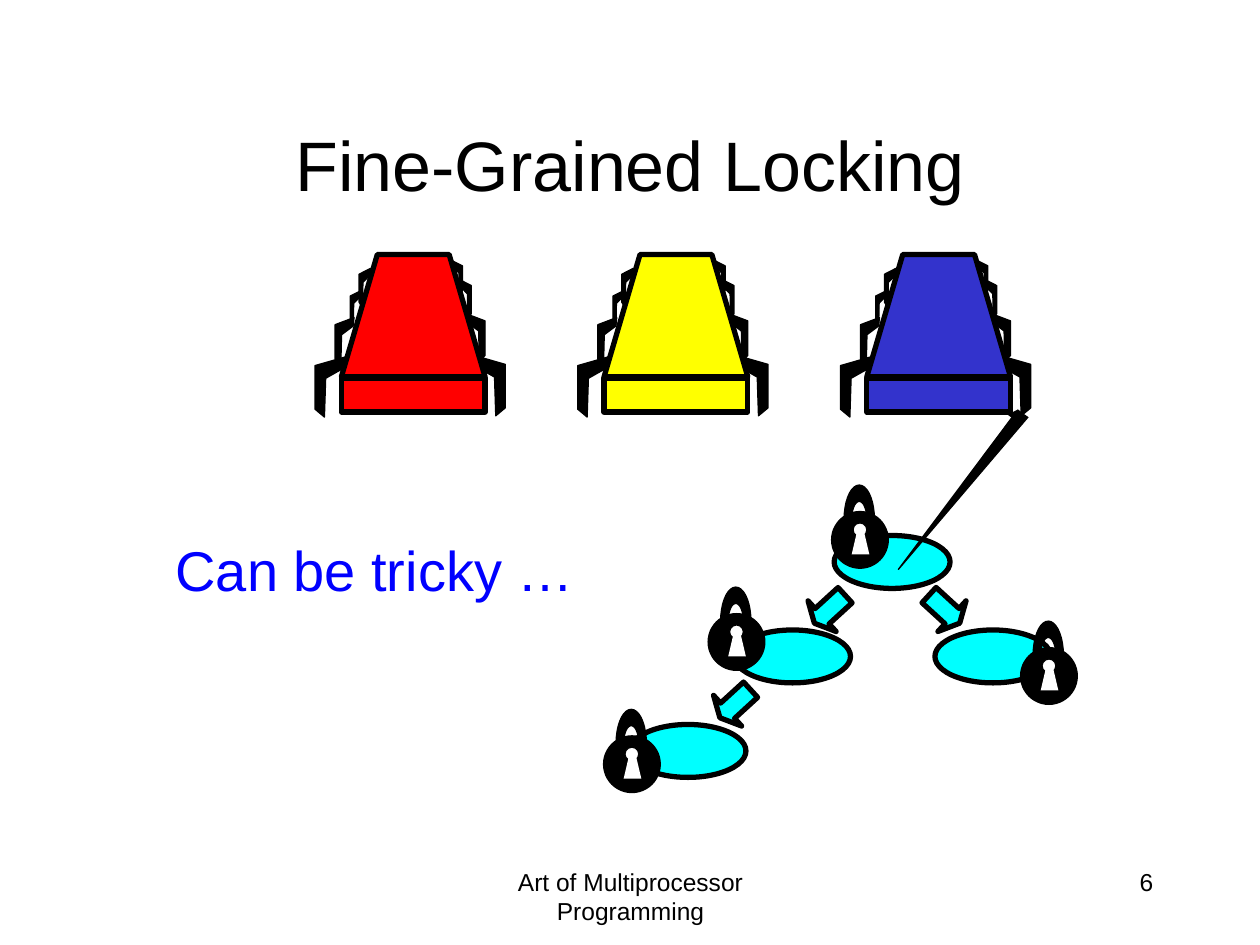
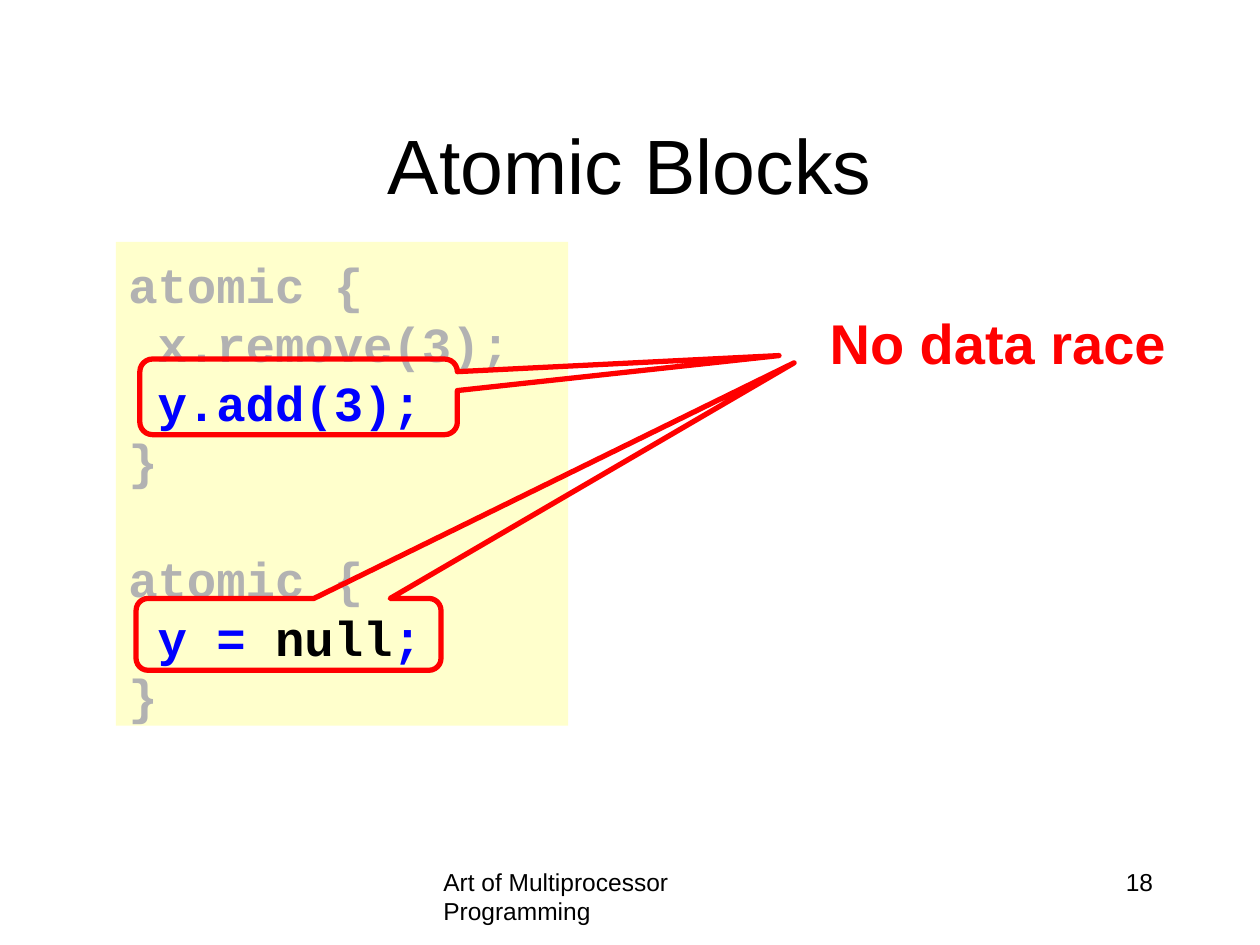
import math

from lxml import etree
from pptx import Presentation
from pptx import util as u
from pptx.dml.color import RGBColor
from pptx.enum import shapes, text
from pptx.oxml.ns import qn

BLACK = RGBColor(0x00, 0x00, 0x00)
WHITE = RGBColor(0xFF, 0xFF, 0xFF)
RED = RGBColor(0xFF, 0x00, 0x00)
YELLOW = RGBColor(0xFF, 0xFF, 0x00)
INDIGO = RGBColor(0x33, 0x33, 0xCC)
CYAN = RGBColor(0x00, 0xFF, 0xFF)
BLUE = RGBColor(0x00, 0x00, 0xFF)
GRAY = RGBColor(0xB2, 0xB2, 0xB2)
CREAM = RGBColor(0xFF, 0xFF, 0xCC)

SHAPE = shapes.MSO_SHAPE
ALIGN = text.PP_ALIGN
BOLD_LINE, THIN_LINE = 3, 0.75

# Outline of one leg in a unit box, pointing right
LEG = [(0, 0), (1, 0.15), (1, 0.87), (0.7, 1), (0.66, 0.36), (0.05, 0.18)]
# Left, top, width and height of each leg, from the creature's top left
RIGHT_LEGS = [(1.05, 0.8, 0.25, 0.48), (0.99, 0.47, 0.15, 0.38),
              (0.94, 0.2, 0.09, 0.31), (0.88, 0.05, 0.08, 0.27)]
LEFT_LEGS = [(-0.21, 0.81, 0.25, 0.48), (-0.05, 0.5, 0.15, 0.38),
             (0.14, 0.11, 0.09, 0.31), (0.07, 0.29, 0.08, 0.27)]


def inches(*lengths):
    return [u.Inches(length) for length in lengths]


def paint(shape, fill, line, width):
    shape.shadow.inherit = False
    if fill is None:
        shape.fill.background()
    else:
        shape.fill.solid()
        shape.fill.fore_color.rgb = fill
    if line is None:
        shape.line.fill.background()
    else:
        shape.line.color.rgb = line
        shape.line.width = u.Pt(width)
    return shape


def add_preset(slide, kind, box, fill, line=BLACK, width=BOLD_LINE):
    return paint(slide.shapes.add_shape(kind, *inches(*box)), fill, line, width)


def add_outline(slide, points, fill, line=BLACK, width=THIN_LINE, close=True):
    start, *rest = [tuple(inches(x, y)) for x, y in points]
    builder = slide.shapes.build_freeform(*start)
    builder.add_line_segments(rest, close=close)
    return paint(builder.convert_to_shape(), fill, line, width)


def add_text(slide, words, box, size, align=ALIGN.CENTER, color=BLACK,
             bold=False, wrap=True, anchor=text.MSO_ANCHOR.TOP):
    frame = slide.shapes.add_textbox(*inches(*box)).text_frame
    frame.word_wrap = wrap
    frame.vertical_anchor = anchor
    paragraph = frame.paragraphs[0]
    paragraph.text = words
    paragraph.alignment = align
    font = paragraph.font
    font.name, font.size, font.bold = "Arial", u.Pt(size), bold
    font.color.rgb = color


def start_slide(deck, title, title_size, number, footer_align):
    """Add a blank slide with its title, footer and slide number."""
    slide = deck.slides.add_slide(deck.slide_layouts[6])
    add_text(slide, title, (0.75, 0.67, 8.5, 1.25), title_size,
             anchor=text.MSO_ANCHOR.MIDDLE)
    add_text(slide, "Art of Multiprocessor Programming",
             (3.42, 6.83, 3.17, 0.5), 14, footer_align)
    add_text(slide, str(number), (7.17, 6.83, 2.08, 0.5), 14, ALIGN.RIGHT)
    return slide


def draw_thread(slide, left, top, color):
    """Draw one many-legged thread."""
    for legs, mirrored in ((RIGHT_LEGS, False), (LEFT_LEGS, True)):
        for x, y, width, height in legs:
            add_outline(slide, [(left + x + width * (1 - px if mirrored else px),
                                 top + y + height * py) for px, py in LEG], BLACK)
    back = [(0, 0.97), (0.285, 0), (0.855, 0), (1.14, 0.97)]
    add_outline(slide, [(left + x, top + y) for x, y in back],
                color, width=BOLD_LINE)
    add_preset(slide, SHAPE.RECTANGLE, (left, top + 0.98, 1.14, 0.27), color)


def draw_lock(slide, left, top):
    """Draw a padlock whose round body starts at left, top."""
    def arch(radius_x, radius_y, degrees):
        return [(left + 0.22 + radius_x * math.cos(math.radians(a)),
                 top + 0.06 - radius_y * math.sin(math.radians(a)))
                for a in degrees]

    add_preset(slide, SHAPE.OVAL, (left, top, 0.45, 0.45), BLACK, width=THIN_LINE)
    add_preset(slide, SHAPE.OVAL, (left + 0.17, top + 0.09, 0.11, 0.11),
               WHITE, width=THIN_LINE)
    keyhole = [(0.16, 0.34), (0.2, 0.17), (0.26, 0.17), (0.3, 0.34)]
    add_outline(slide, [(left + x, top + y) for x, y in keyhole], WHITE, None)
    add_outline(slide, arch(0.12, 0.27, range(0, 181, 10))
                + arch(0.06, 0.14, range(180, -1, -10)), BLACK)


def draw_tree(slide, left, top):
    """Draw the locked tree; left, top is the corner of its bounding box."""
    for x, y in ((2.42, 0.75), (1.62, 0), (0.83, 0.75), (0, 1.5)):
        add_preset(slide, SHAPE.OVAL, (left + x, top + y, 0.92, 0.42), CYAN)
    for x, y, angle in ((2.33, 0.42, 42.5), (1.42, 0.42, 137.5), (0.67, 1.17, 137.5)):
        branch = add_preset(slide, SHAPE.RIGHT_ARROW,
                            (left + x, top + y, 0.33, 0.33), CYAN)
        branch.adjustments[1] = 0.25
        branch.rotation = angle


def draw_pointer(slide):
    """Draw the wedge that reaches from the last thread into the root."""
    wedge = add_outline(slide, [(8.16, 3.31), (7.13, 4.52), (8.08, 3.25)],
                        BLACK, close=False)
    line = wedge.line._get_or_add_ln()
    etree.SubElement(line, qn("a:tailEnd"), type="triangle")


def draw_code(slide, left, top):
    """Draw the code panel; each line is a list of (words, color)."""
    lines = [
        [("atomic {", GRAY)],
        [(" x.remove(3);", GRAY)],
        [(" y.add(3);", BLUE)],
        [("}", GRAY)],
        [("atomic {", GRAY)],
        [(" y = ", BLUE), ("null", BLACK), (";", BLUE)],
        [("}", GRAY)],
    ]
    line_height = 33.6
    second_block = 4
    panel = add_preset(slide, SHAPE.RECTANGLE, (left, top, 3.59, 3.84), CREAM, None)
    frame = panel.text_frame
    frame.word_wrap = True
    frame.vertical_anchor = text.MSO_ANCHOR.TOP
    frame.margin_top = u.Inches(0.1)
    for index, parts in enumerate(lines):
        paragraph = frame.add_paragraph() if index else frame.paragraphs[0]
        paragraph.alignment = ALIGN.LEFT
        paragraph.line_spacing = u.Pt(line_height)
        if index == second_block:
            paragraph.space_before = u.Pt(line_height)
        font = paragraph.font
        font.name, font.size, font.bold = "Courier New", u.Pt(28), True
        for words, color in parts:
            run = paragraph.add_run()
            run.text = words
            run.font.color.rgb = color


def draw_callout(slide, box, tip_x, tip_y):
    callout = add_preset(slide, SHAPE.ROUNDED_RECTANGULAR_CALLOUT, box, None, RED)
    for index, value in enumerate((tip_x, tip_y, 0.167)):
        callout.adjustments[index] = value


def build_locking(deck):
    slide = start_slide(deck, "Fine-Grained Locking", 40, 6, ALIGN.CENTER)
    draw_tree(slide, 5, 4.25)
    for index, color in enumerate((RED, YELLOW, INDIGO)):
        draw_thread(slide, 2.71 + 2.085 * index, 2.02, color)
    draw_pointer(slide)
    for left, top in ((4.79, 5.84), (5.62, 4.87), (8.1, 5.14), (6.6, 4.06)):
        draw_lock(slide, left, top)
    add_text(slide, "Can be tricky …", (1.28, 4.2, 3.39, 0.63), 32,
             color=BLUE, wrap=False)


def build_atomic(deck):
    slide = start_slide(deck, "Atomic Blocks", 44, 18, ALIGN.LEFT)
    draw_code(slide, 0.92, 1.92)
    draw_callout(slide, (1.11, 2.85, 2.52, 0.6), 1.513, -0.546)
    add_text(slide, "No data race", (6.28, 2.4, 3.28, 0.63), 32,
             color=RED, bold=True)
    draw_callout(slide, (1.08, 4.75, 2.42, 0.57), 1.658, -3.781)


def main():
    deck = Presentation()
    deck.slide_width, deck.slide_height = inches(10, 7.5)
    build_locking(deck)
    build_atomic(deck)
    deck.save("out.pptx")


if __name__ == "__main__":
    main()
